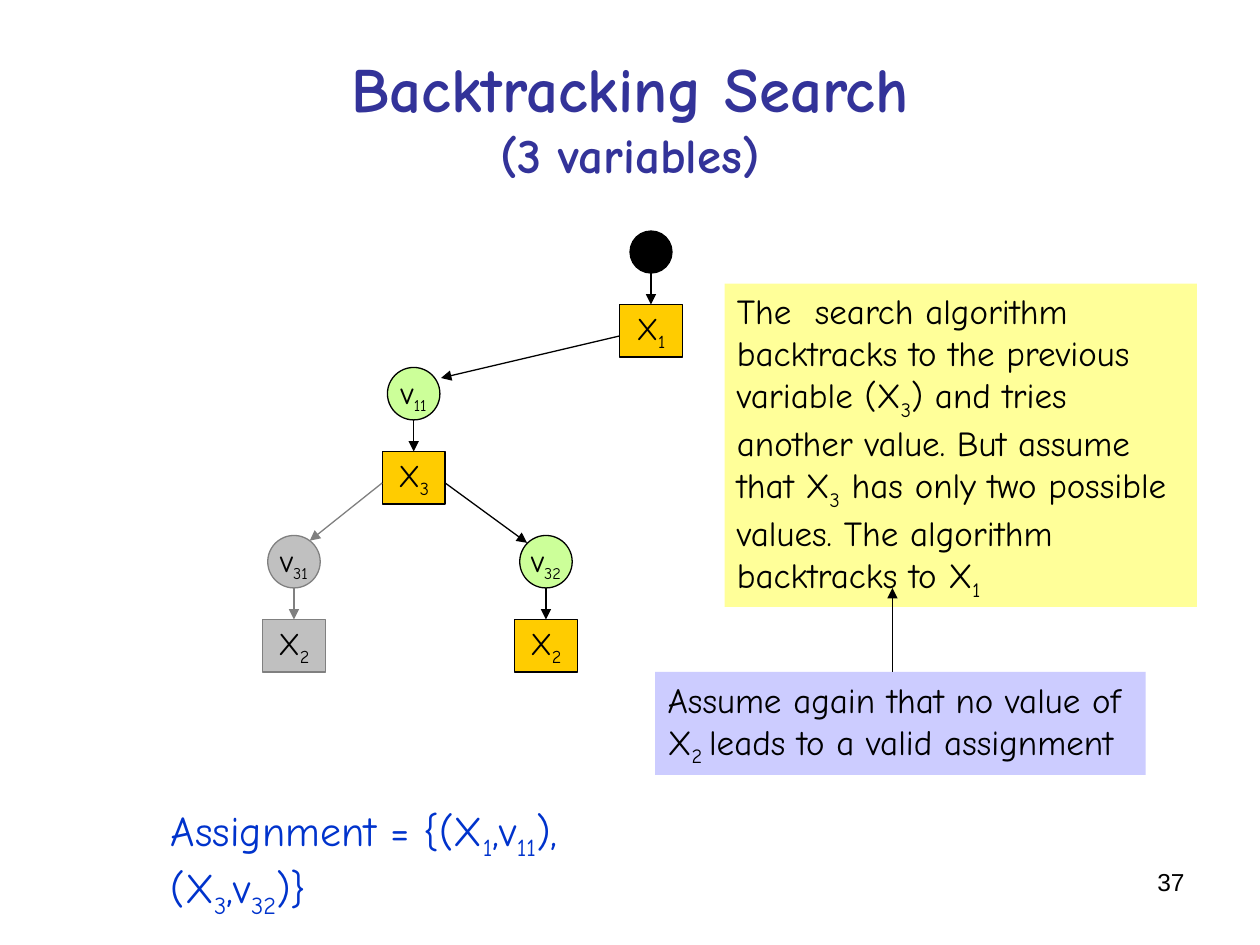
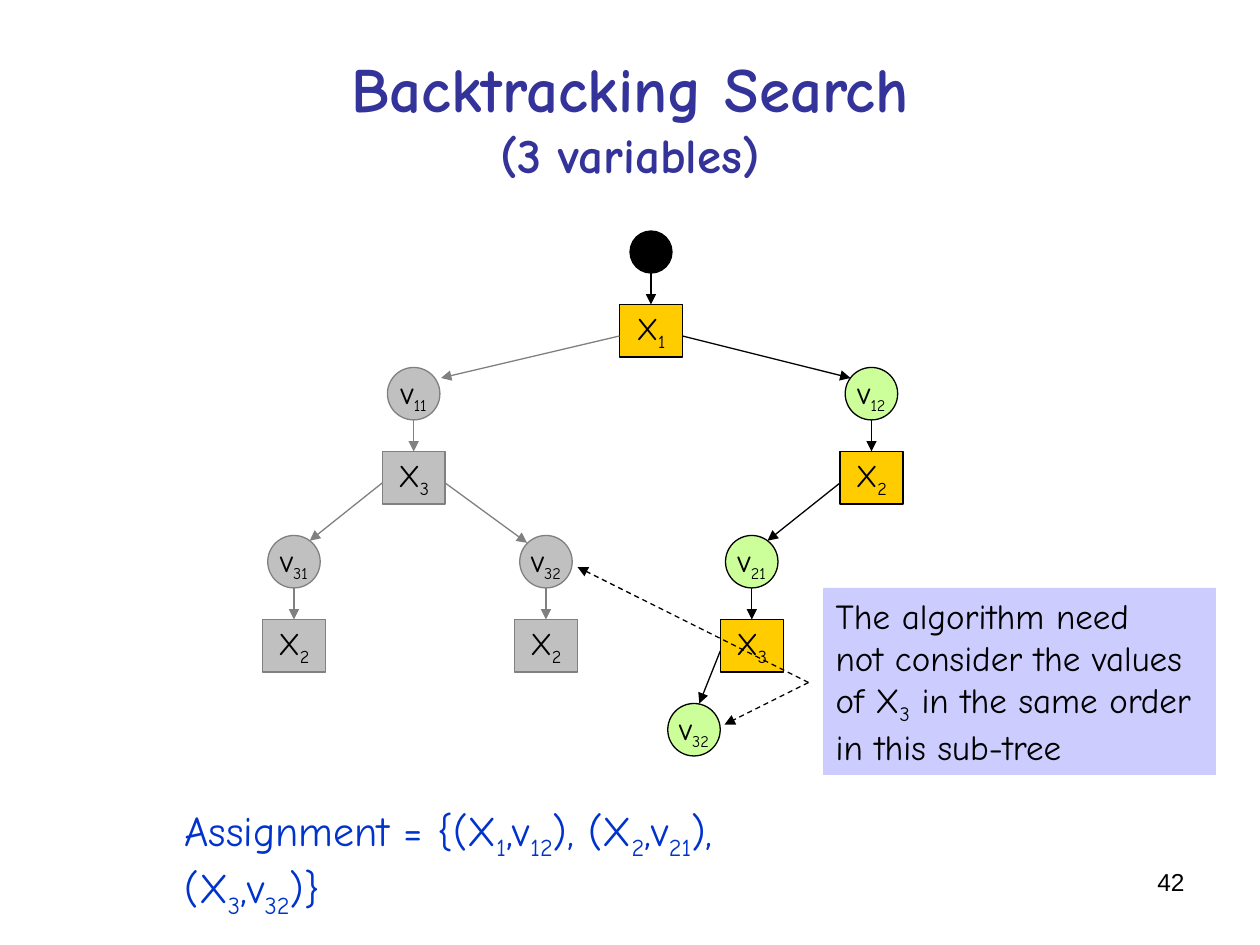
from lxml.etree import SubElement
from pptx import Presentation
from pptx.dml.color import RGBColor
from pptx.enum.dml import MSO_LINE
from pptx.enum.shapes import MSO_CONNECTOR, MSO_SHAPE
from pptx.enum.text import MSO_ANCHOR as Anchor, MSO_AUTO_SIZE as AutoSize, PP_ALIGN as Align
from pptx.oxml.ns import qn
from pptx.util import Emu, Pt

COLORS = {
    "title": "333399", "assignment": "0033CC", "ink": "000000",
    "variable": "FFCC00", "value": "CCFF99", "failed": "C0C0C0",
    "failed_line": "808080", "remark": "CCCCFF", "explanation": "FFFF99",
}
PX = 7620
NODE_HEIGHT = 50
VARIABLE_WIDTH = 60
START_SIZE = 40
STEM = 30
ROOT_TOP = 290
VALUE_TOP = 350
LEVEL_STEP = 160
LEFT, RIGHT = -1, 1
ROOT, X3_LEFT, X2_RIGHT, X3_RIGHT = 620, 394, 830, 716


def px(*lengths):
    return [Emu(length * PX) for length in lengths]


def rgb(name):
    return RGBColor.from_string(COLORS[name])


class SearchDeck:
    font = "Comic Neue"

    def __init__(self):
        self.presentation = Presentation()
        self.presentation.slide_width, self.presentation.slide_height = px(1200, 900)
        self.slide = None

    def set_text(self, frame, text, size, color="ink", align=Align.LEFT, anchor=Anchor.TOP,
                 font=None, bold=False, sub_size=None, wrap=True):
        frame.word_wrap = wrap
        frame.vertical_anchor = anchor
        for index, line in enumerate(text.split("\n")):
            paragraph = frame.add_paragraph() if index else frame.paragraphs[0]
            paragraph.alignment = align
            for position, piece in enumerate(line.split("~")):
                subscript = position % 2 == 1
                for row, words in enumerate(piece.split("\v")):
                    if row:
                        paragraph.add_line_break()
                    if not words:
                        continue
                    run = paragraph.add_run()
                    run.text = words
                    run.font.name = font or self.font
                    run.font.bold = bold
                    run.font.color.rgb = rgb(color)
                    run.font.size = Pt(sub_size if subscript and sub_size else size)
                    if subscript:
                        run._r.get_or_add_rPr().set("baseline", "-25000")

    def text(self, box, text, size, **style):
        frame = self.slide.shapes.add_textbox(*px(*box)).text_frame
        self.set_text(frame, text, size, **style)
        return frame

    def shape(self, kind, box, fill, line=None):
        shape = self.slide.shapes.add_shape(kind, *px(*box))
        shape.shadow.inherit = False
        shape.fill.solid()
        shape.fill.fore_color.rgb = rgb(fill)
        if line:
            shape.line.color.rgb = rgb(line)
            shape.line.width = Pt(0.75)
        else:
            shape.line.fill.background()
        return shape

    def arrow(self, start, end, color="ink", dashed=False):
        arrow = self.slide.shapes.add_connector(MSO_CONNECTOR.STRAIGHT, *px(*start, *end))
        arrow.line.color.rgb = rgb(color)
        arrow.line.width = Pt(0.75)
        if dashed:
            arrow.line.dash_style = MSO_LINE.DASH
        SubElement(arrow.line._get_or_add_ln(), qn("a:tailEnd"), type="triangle")
        SubElement(arrow._element.spPr, qn("a:effectLst"))

    def note(self, box, text, fill, wrap=False):
        frame = self.shape(MSO_SHAPE.RECTANGLE, box, fill).text_frame
        self.set_text(frame, text, 20, wrap=wrap)
        frame.auto_size = AutoSize.SHAPE_TO_FIT_TEXT

    def node(self, kind, center, top, width, label, fill, live, sub_size):
        box = (center - width // 2, top, width, NODE_HEIGHT)
        frame = self.shape(kind, box, fill if live else "failed",
                           "ink" if live else "failed_line").text_frame
        self.set_text(frame, label, 18, align=Align.CENTER, anchor=Anchor.MIDDLE,
                      sub_size=sub_size, wrap=False)

    def variable(self, label, center, top, live):
        self.arrow((center, top - STEM), (center, top), "ink" if live else "failed_line")
        self.node(MSO_SHAPE.RECTANGLE, center, top, VARIABLE_WIDTH, label, "variable", live, 18)

    def branch(self, value, variable, center, level, parent, side, end, live):
        top = VALUE_TOP + level * LEVEL_STEP
        parent_middle = top - (50 if level else 30)
        self.arrow((parent + side * VARIABLE_WIDTH // 2, parent_middle), end,
                   "ink" if live else "failed_line")
        self.node(MSO_SHAPE.OVAL, center, top, NODE_HEIGHT, value, "value", live, 16)
        if variable:
            self.variable(variable, center, top + NODE_HEIGHT + STEM, live)

    def search_slide(self, number, assignment, assignment_box, branches):
        self.slide = self.presentation.slides.add_slide(self.presentation.slide_layouts[6])
        title = self.text((60, 36, 1080, 150), "Backtracking Search\v(3 variables)", 36,
                          color="title", align=Align.CENTER, anchor=Anchor.MIDDLE, bold=True)
        title.paragraphs[0].runs[1].font.size = Pt(28)
        start_box = (ROOT - START_SIZE // 2, ROOT_TOP - STEM - START_SIZE, START_SIZE, START_SIZE)
        self.shape(MSO_SHAPE.OVAL, start_box, "ink", "ink")
        self.variable("X~1~", ROOT, ROOT_TOP, True)
        for branch in branches:
            self.branch(*branch)
        self.text(assignment_box, assignment, 24, color="assignment",
                  wrap=False).auto_size = AutoSize.SHAPE_TO_FIT_TEXT
        self.text((860, 820, 280, 62), number, 14, align=Align.RIGHT, font="Arial")


def left_subtree(live):
    return [
        ("v~11~", "X~3~", X3_LEFT, 0, ROOT, LEFT, (420, 360), live),
        ("v~31~", "X~2~", 280, 1, X3_LEFT, LEFT, (295, 515), False),
        ("v~32~", "X~2~", 520, 1, X3_LEFT, RIGHT, (502, 517), live),
    ]


def main():
    deck = SearchDeck()

    deck.search_slide("37", "Assignment = {(X~1~,v~11~), (X~3~,v~32~)}",
                      (151, 760, 534, 67), left_subtree(True))
    deck.note((624, 640, 467, 98),
              "Assume again that no value of \vX~2 ~leads to a valid assignment", "remark")
    deck.note((690, 270, 450, 308),
              "The  search algorithm\nbacktracks to the previous variable (X~3~) and tries another "
              "value. But assume that X~3~ has only two possible values. The algorithm "
              "backtracks to X~1~", "explanation", wrap=True)
    deck.arrow((850, 640), (850, 560))

    right_subtree = [
        ("v~12~", "X~2~", X2_RIGHT, 0, ROOT, RIGHT, (810, 360), True),
        ("v~21~", "X~3~", X3_RIGHT, 1, X2_RIGHT, LEFT, (731, 515), True),
        ("v~32~", None, 661, 2, X3_RIGHT, LEFT, (666, 670), True),
    ]
    deck.search_slide("42", "Assignment = {(X~1~,v~12~), (X~2~,v~21~), (X~3~,v~32~)}",
                      (164, 760, 668, 67), left_subtree(False) + right_subtree)
    deck.note((784, 560, 374, 178),
              "The algorithm need\nnot consider the values\nof X~3~ in the same order\n"
              "in this sub-tree", "remark")
    for value_end in ((550, 540), (690, 690)):
        deck.arrow((770, 650), value_end, dashed=True)

    deck.presentation.save("out.pptx")


if __name__ == "__main__":
    main()
